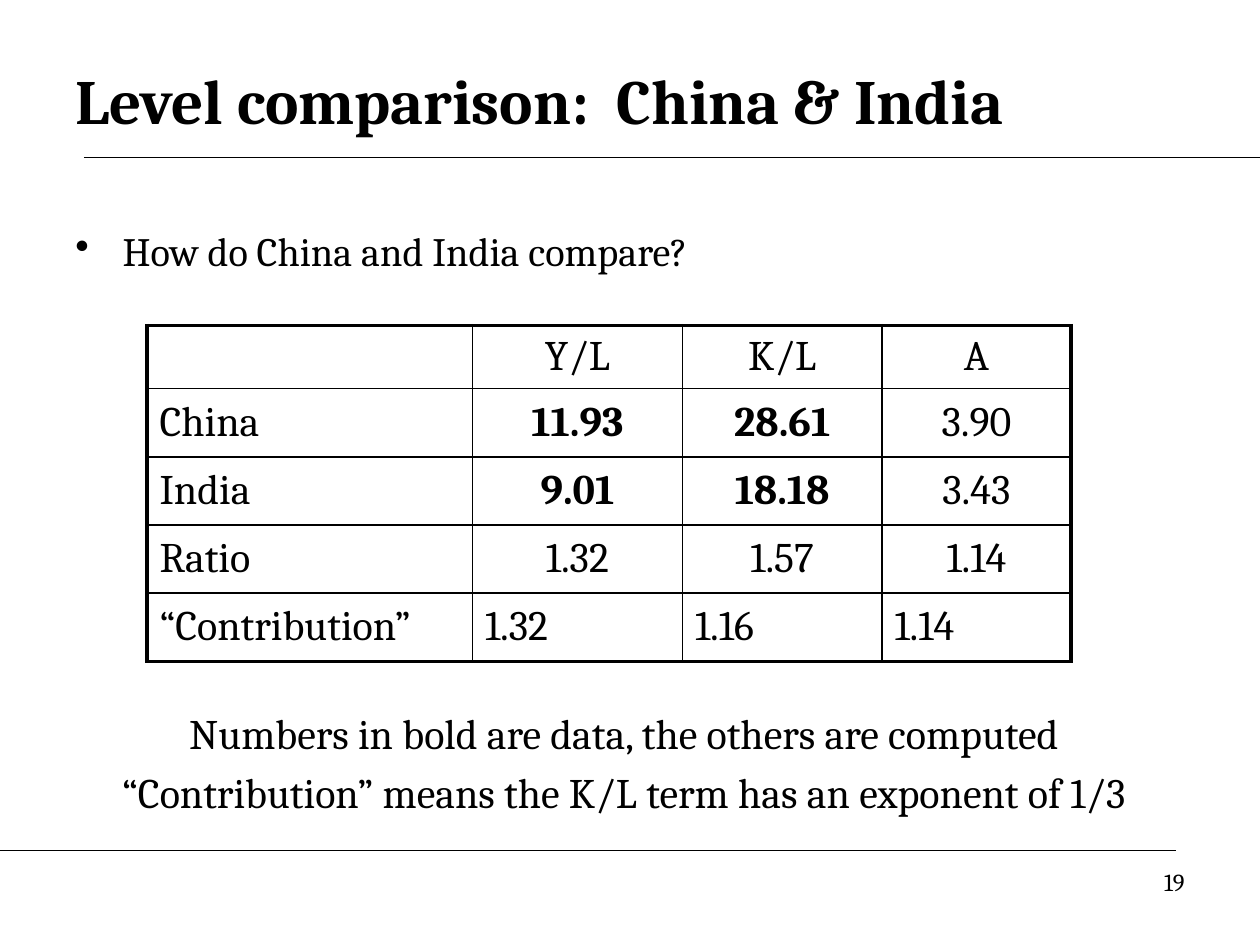
import pptx
import pptx.util
import pptx.dml.color
import pptx.enum.shapes
import pptx.enum.text
import pptx.oxml.ns
import lxml.etree

Pt = pptx.util.Pt
ALIGN = pptx.enum.text.PP_ALIGN
MIDDLE = pptx.enum.text.MSO_ANCHOR.MIDDLE
qn = pptx.oxml.ns.qn
INK = "000000"


def color(hex_value):
    return pptx.dml.color.RGBColor.from_string(hex_value)


def write(paragraph, text, size, align=ALIGN.LEFT, bold=False):
    paragraph.alignment = align
    run = paragraph.add_run()
    run.text = text
    run.font.name = "Cambria"
    run.font.size = Pt(size)
    run.font.bold = bold
    run.font.color.rgb = color(INK)


deck = pptx.Presentation()
deck.slide_width, deck.slide_height = Pt(720), Pt(540)
slide = deck.slides.add_slide(deck.slide_layouts[6])
shapes = slide.shapes

# Header and footer rules
for start, end, y in [(48, 720, 90), (0, 672, 486)]:
    rule = shapes.add_connector(pptx.enum.shapes.MSO_CONNECTOR.STRAIGHT,
                                Pt(start), Pt(y), Pt(end), Pt(y))
    rule.line.color.rgb = color(INK)
    rule.line.width = Pt(0.75)
    lxml.etree.SubElement(rule._element.spPr, qn("a:effectLst"))

# Text around the table
title = shapes.add_textbox(Pt(36), Pt(24), Pt(648), Pt(66)).text_frame
question = shapes.add_textbox(Pt(36), Pt(126), Pt(648), Pt(48)).text_frame
page_number = shapes.add_textbox(Pt(516), Pt(492), Pt(168), Pt(37.5)).text_frame
notes = shapes.add_textbox(Pt(29.5), Pt(401), Pt(654), Pt(64)).text_frame
for frame in (title, question, page_number, notes):
    frame.word_wrap = True

title.vertical_anchor = MIDDLE
write(title.paragraphs[0], "Level comparison:  China & India", 36, bold=True)

bullet = question.paragraphs[0]._p.get_or_add_pPr()
bullet.set("marL", str(Pt(27)))
bullet.set("indent", str(-Pt(27)))
lxml.etree.SubElement(bullet, qn("a:buChar"), char="•")
write(question.paragraphs[0], "How do China and India compare?", 23)

write(page_number.paragraphs[0], "19", 14, ALIGN.RIGHT)

write(notes.paragraphs[0], "Numbers in bold are data, the others are computed",
      24, ALIGN.CENTER)
exponent_note = notes.add_paragraph()
exponent_note.space_before = Pt(4.8)
write(exponent_note, "“Contribution” means the K/L term has an exponent of 1/3",
      24, ALIGN.CENTER)

# Comparison table
rows = [
    ["", "Y/L", "K/L", "A"],
    ["China", "11.93", "28.61", "3.90"],
    ["India", "9.01", "18.18", "3.43"],
    ["Ratio", "1.32", "1.57", "1.14"],
    ["“Contribution”", "1.32", "1.16", "1.14"],
]
column_widths = [186, 120, 114, 108]
row_heights = [35.3, 39, 39, 39, 39]
last_row, last_column = len(rows) - 1, len(column_widths) - 1

comparison = shapes.add_table(len(rows), len(column_widths), Pt(84), Pt(186),
                              Pt(sum(column_widths)), Pt(sum(row_heights))).table
comparison.first_row = False
comparison.horz_banding = False
for column, width in zip(comparison.columns, column_widths):
    column.width = Pt(width)

for r, values in enumerate(rows):
    comparison.rows[r].height = Pt(row_heights[r])
    for c, value in enumerate(values):
        cell = comparison.cell(r, c)
        cell.vertical_anchor = MIDDLE
        if value:
            centred = c > 0 and r < last_row
            is_data = r in (1, 2) and c in (1, 2)
            write(cell.text_frame.paragraphs[0], value, 24,
                  ALIGN.CENTER if centred else ALIGN.LEFT, is_data)

        # Thick outer frame, thin inner grid
        outer_sides = {"L": c == 0, "R": c == last_column,
                       "T": r == 0, "B": r == last_row}
        properties = cell._tc.get_or_add_tcPr()
        for side, is_outer in outer_sides.items():
            border = lxml.etree.SubElement(properties, qn("a:ln" + side),
                                           w=str(Pt(2.25 if is_outer else 1)))
            border_fill = lxml.etree.SubElement(border, qn("a:solidFill"))
            lxml.etree.SubElement(border_fill, qn("a:srgbClr"), val=INK)
        cell.fill.background()

deck.save("out.pptx")
